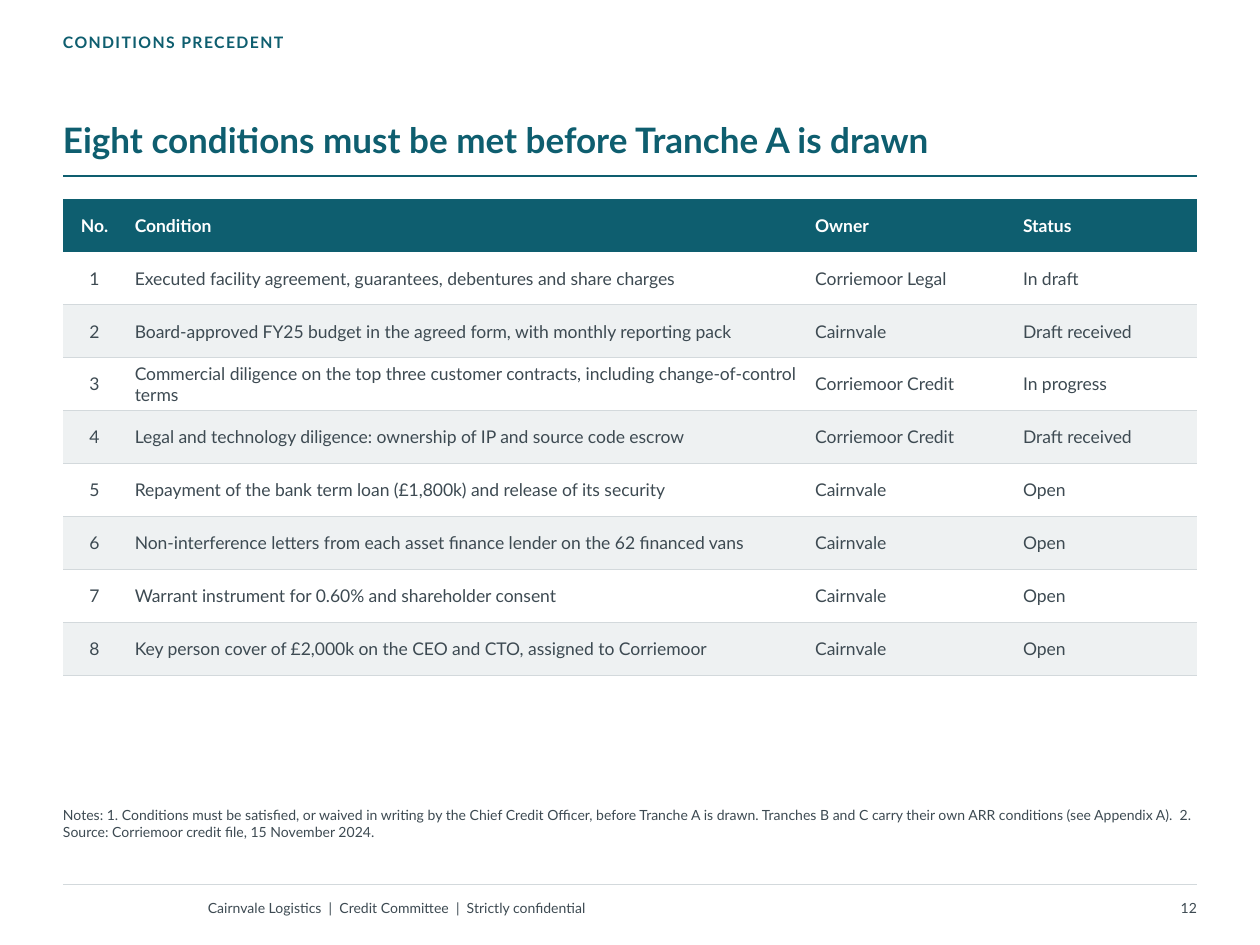
from lxml.etree import SubElement
from pptx import Presentation
from pptx.dml.color import RGBColor
from pptx.enum.shapes import MSO_CONNECTOR
from pptx.enum.text import MSO_ANCHOR, PP_ALIGN
from pptx.oxml import parse_xml
from pptx.oxml.ns import nsdecls, qn
from pptx.util import Inches, Pt

FONT = "Lato"
TEAL, INK, RULE, BAND, WHITE = "0E5E6F", "3D4A52", "D3D9DC", "EEF1F2", "FFFFFF"
LEFT, RIGHT = 0.5, 9.5

SECTION = "CONDITIONS PRECEDENT"
TITLE = "Eight conditions must be met before Tranche A is drawn"
HEADERS = ("No.", "Condition", "Owner", "Status")
CONDITIONS = [
    ("Executed facility agreement, guarantees, debentures and share charges", "Corriemoor Legal", "In draft"),
    ("Board-approved FY25 budget in the agreed form, with monthly reporting pack", "Cairnvale", "Draft received"),
    ("Commercial diligence on the top three customer contracts, including change-of-control terms",
     "Corriemoor Credit", "In progress"),
    ("Legal and technology diligence: ownership of IP and source code escrow", "Corriemoor Credit", "Draft received"),
    ("Repayment of the bank term loan (£1,800k) and release of its security", "Cairnvale", "Open"),
    ("Non-interference letters from each asset finance lender on the 62 financed vans", "Cairnvale", "Open"),
    ("Warrant instrument for 0.60% and shareholder consent", "Cairnvale", "Open"),
    ("Key person cover of £2,000k on the CEO and CTO, assigned to Corriemoor", "Cairnvale", "Open"),
]
NOTES = (
    "Notes: 1. Conditions must be satisfied, or waived in writing by the Chief Credit Officer, "
    "before Tranche A is drawn. Tranches B and C carry their own ARR conditions (see Appendix A).  "
    "2. Source: Corriemoor credit file, 15 November 2024."
)
FOOTER = "Cairnvale Logistics  |  Credit Committee  |  Strictly confidential"
PAGE_NUMBER = "12"
COLUMN_WIDTHS = (0.5, 5.4, 1.65, 1.45)
ROW_HEIGHT = 0.42
TABLE_TOP = 1.58


def color(value):
    return RGBColor.from_string(value)


def style_paragraph(paragraph, size, tint, bold=False, align=PP_ALIGN.LEFT):
    paragraph.alignment = align
    font = paragraph.font
    font.name, font.size, font.bold = FONT, Pt(size), bold
    font.color.rgb = color(tint)


def set_margins(target, margins):
    target.margin_left, target.margin_top, target.margin_right, target.margin_bottom = map(Inches, margins)


def add_text(page, text, place, size, tint=INK, bold=False, align=PP_ALIGN.LEFT,
             anchor=MSO_ANCHOR.TOP, margins=(0, 0, 0, 0)):
    box = page.shapes.add_textbox(*map(Inches, place))
    frame = box.text_frame
    frame.word_wrap = True
    frame.vertical_anchor = anchor
    set_margins(frame, margins)
    paragraph = frame.paragraphs[0]
    paragraph.text = text
    style_paragraph(paragraph, size, tint, bold, align)
    return paragraph


def add_rule(page, top, tint, width):
    rule = page.shapes.add_connector(
        MSO_CONNECTOR.STRAIGHT, Inches(LEFT), Inches(top), Inches(RIGHT), Inches(top))
    rule.line.color.rgb = color(tint)
    rule.line.width = Pt(width)
    SubElement(rule._element.spPr, qn("a:effectLst"))


def set_borders(cell, ruled_sides):
    properties = cell._tc.get_or_add_tcPr()
    for position, side in enumerate(("lnL", "lnR", "lnT", "lnB")):
        paint = "<a:noFill/>"
        if side in ruled_sides:
            paint = f'<a:solidFill><a:srgbClr val="{RULE}"/></a:solidFill>'
        border = parse_xml(f'<a:{side} {nsdecls("a")} w="{Pt(0.5)}">{paint}</a:{side}>')
        properties.insert(position, border)


def add_conditions_table(page):
    rows = [HEADERS] + [(str(number), *row) for number, row in enumerate(CONDITIONS, 1)]
    frame = page.shapes.add_table(
        len(rows), len(HEADERS), Inches(LEFT), Inches(TABLE_TOP),
        Inches(sum(COLUMN_WIDTHS)), Inches(ROW_HEIGHT * len(rows)))
    table = frame.table
    table.horz_banding = False
    for column, width in zip(table.columns, COLUMN_WIDTHS):
        column.width = Inches(width)
    for row_index, values in enumerate(rows):
        table.rows[row_index].height = Inches(ROW_HEIGHT)
        header = row_index == 0
        fill = TEAL if header else (WHITE, BAND)[(row_index + 1) % 2]
        ruled_sides = () if header else ("lnB",) if row_index == 1 else ("lnT", "lnB")
        for column_index, value in enumerate(values):
            cell = table.cell(row_index, column_index)
            cell.text = value
            cell.vertical_anchor = MSO_ANCHOR.MIDDLE
            set_margins(cell, (0.07, 0.04, 0.07, 0.04))
            cell.fill.solid()
            cell.fill.fore_color.rgb = color(fill)
            set_borders(cell, ruled_sides)
            align = PP_ALIGN.CENTER if column_index == 0 else PP_ALIGN.LEFT
            style_paragraph(cell.text_frame.paragraphs[0], 10, WHITE if header else INK, header, align)


def main():
    deck = Presentation()
    deck.slide_width, deck.slide_height = Inches(10), Inches(7.5)
    page = deck.slides.add_slide(deck.slide_layouts[6])

    add_rule(page, 7.02, RULE, 0.75)
    add_rule(page, 1.4, TEAL, 1.25)
    section = add_text(page, SECTION, (LEFT, 0.26, 7, 0.24), 9, TEAL, True)
    section.runs[0].font._element.set("spc", "80")
    title = add_text(page, TITLE, (LEFT, 0.5, 9, 0.82), 20, TEAL, True,
                     anchor=MSO_ANCHOR.BOTTOM, margins=(0, 0, 0, 0.04))
    title.line_spacing = 0.92
    add_conditions_table(page)
    add_text(page, NOTES, (LEFT, 6.4, 9, 0.58), 8)
    add_text(page, FOOTER, (1.65, 7.08, 5.6, 0.26), 8,
             anchor=MSO_ANCHOR.MIDDLE, margins=(0, 0.05, 0.1, 0.05))
    add_text(page, PAGE_NUMBER, (8.5, 7.08, 1, 0.26), 8, align=PP_ALIGN.RIGHT,
             anchor=MSO_ANCHOR.MIDDLE, margins=(0.1, 0.05, 0, 0.05))
    deck.save("out.pptx")


if __name__ == "__main__":
    main()
